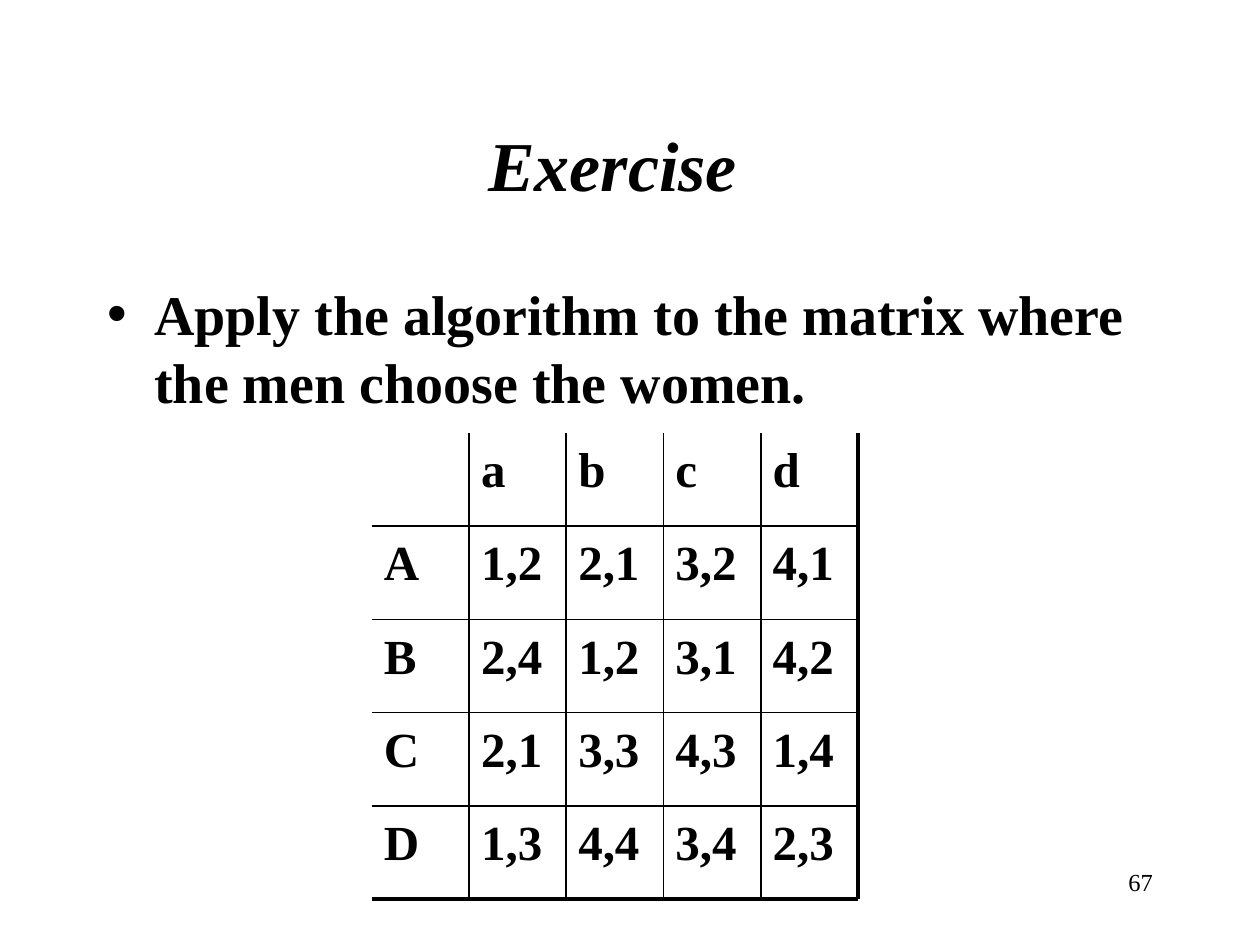
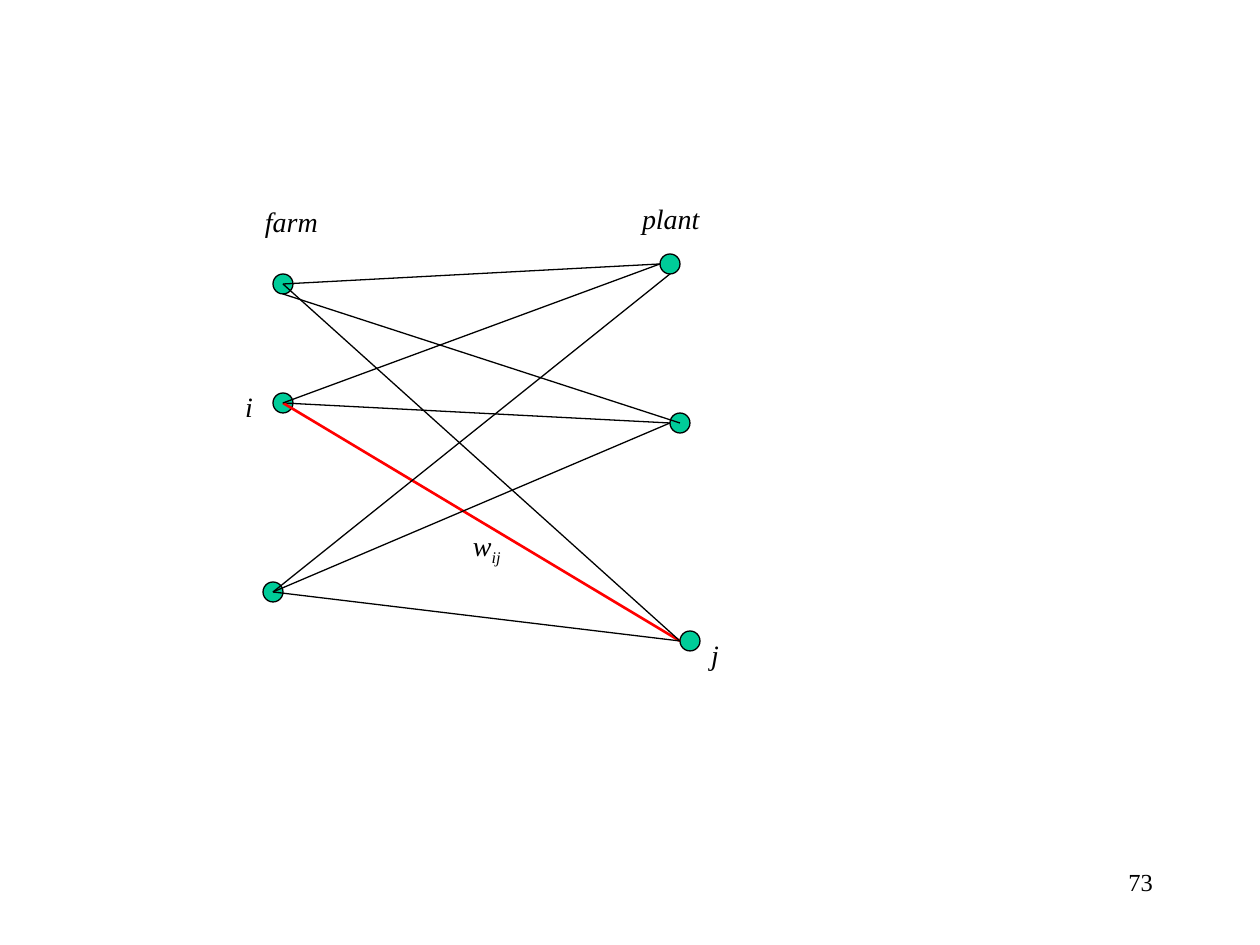
from itertools import product

from lxml.etree import SubElement
from pptx import Presentation
from pptx.dml.color import RGBColor
from pptx.enum.shapes import MSO_CONNECTOR, MSO_SHAPE
from pptx.enum.text import MSO_ANCHOR, MSO_AUTO_SIZE, PP_ALIGN
from pptx.oxml.ns import qn
from pptx.util import Emu, Pt

EMU_PER_PX = 914400 / 126
FONT = "Times New Roman"
COLOURS = {"ink": "000000", "node": "00CC99", "chosen": "FF0000"}
LINE_HEIGHT = 1.21
INSET = (12, 6)

PREFERENCES = [
    ["", "a", "b", "c", "d"],
    ["A", "1,2", "2,1", "3,2", "4,1"],
    ["B", "2,4", "1,2", "3,1", "4,2"],
    ["C", "2,1", "3,3", "4,3", "1,4"],
    ["D", "1,3", "4,4", "3,4", "2,3"],
]

# Node centres, relative to the graph's box
FARMS = [(20, 86), (20, 205), (10, 394)]
PLANTS = [(407, 66), (417, 225), (427, 443)]
RADIUS = 10
CENTRE, LEFT, BOTTOM = (0, 0), (-RADIUS, 0), (0, RADIUS)
# Farm, plant, where the edge leaves the farm, where it meets the plant
EDGES = [
    (0, 0, CENTRE, LEFT),
    (0, 1, BOTTOM, CENTRE),
    (1, 1, CENTRE, LEFT),
    (1, 2, CENTRE, LEFT),
    (2, 0, CENTRE, BOTTOM),
    (2, 1, CENTRE, LEFT),
    (2, 2, CENTRE, LEFT),
    (0, 2, CENTRE, LEFT),
    (1, 0, CENTRE, LEFT),
]
CHOSEN_EDGE = (1, 2)
# Text, subscript, box
GRAPH_LABELS = [
    ("i", "", (-30, 185, 69, 47)),
    ("j", "", (436, 433, 69, 47)),
    ("w", "ij", (198, 329, 69, 52)),
    ("farm", "", (-10, 0, 110, 47)),
    ("plant", "", (367, -3, 110, 47)),
]


def px(*lengths):
    return [Emu(round(length * EMU_PER_PX)) for length in lengths]


def colour(name):
    return RGBColor.from_string(COLOURS[name])


def set_margins(frame):
    """Give a text frame or a table cell the common insets."""
    across, down = px(*INSET)
    frame.margin_left = frame.margin_right = across
    frame.margin_top = frame.margin_bottom = down


def format_text(frame, size, bold=False, italic=False, align=PP_ALIGN.LEFT):
    for paragraph in frame.paragraphs:
        paragraph.alignment = align
        paragraph.space_before = Pt(0)
        paragraph.line_spacing = Pt(size * LINE_HEIGHT)
        for run in paragraph.runs:
            font = run.font
            font.name, font.size = FONT, Pt(size)
            font.bold, font.italic = bold, italic
            font.color.rgb = colour("ink")


def prepare_frame(shape, box):
    shape.left, shape.top, shape.width, shape.height = px(*box)
    frame = shape.text_frame
    frame.word_wrap = True
    frame.auto_size = MSO_AUTO_SIZE.NONE
    set_margins(frame)
    return frame


def add_label(slide, text, box, size, subscript="", **style):
    frame = prepare_frame(slide.shapes.add_textbox(0, 0, 0, 0), box)
    frame.text = text
    if subscript:
        index = frame.paragraphs[0].add_run()
        index.text = subscript
        index.font._element.set("baseline", "-25000")
    format_text(frame, size, **style)


def add_page_number(slide, number):
    add_label(slide, str(number), (903, 861, 262, 63), 14, align=PP_ALIGN.RIGHT)


def add_line(slide, start, end, weight, ink="ink"):
    line = slide.shapes.add_connector(MSO_CONNECTOR.STRAIGHT, *px(*start, *end))
    line.line.color.rgb = colour(ink)
    line.line.width = Pt(weight)
    SubElement(line._element.spPr, qn("a:effectLst"))


def add_matrix(slide, left, top, width, height):
    """Set the preferences in a table ruled on all but its left and top sides."""
    count = len(PREFERENCES)
    table = slide.shapes.add_table(count, count, *px(left, top, width, height)).table
    table.first_row = table.horz_banding = False
    for row, column in product(range(count), repeat=2):
        cell = table.cell(row, column)
        cell.text = PREFERENCES[row][column]
        cell.vertical_anchor = MSO_ANCHOR.TOP
        set_margins(cell)
        format_text(cell.text_frame, 28, bold=True)
        cell.fill.background()

    right, bottom = left + width, top + height
    weights = [1] * (count - 1) + [2.25]
    for position, weight in enumerate(weights, start=1):
        y = top + height * position / count
        add_line(slide, (left, y), (right, y), weight)
    for position, weight in enumerate(weights, start=1):
        x = left + width * position / count
        add_line(slide, (x, top), (x, bottom), weight)


def add_node(slide, x, y):
    box = px(x - RADIUS, y - RADIUS, 2 * RADIUS, 2 * RADIUS)
    node = slide.shapes.add_shape(MSO_SHAPE.OVAL, *box)
    node.shadow.inherit = False
    node.fill.solid()
    node.fill.fore_color.rgb = colour("node")
    node.line.color.rgb = colour("ink")
    node.line.width = Pt(0.75)


def add_graph(slide, left, top):
    """Draw the farm-to-plant graph with its labels."""
    def shift(point, offset=CENTRE):
        return left + point[0] + offset[0], top + point[1] + offset[1]

    for centre in FARMS + PLANTS:
        add_node(slide, *shift(centre))
    for farm, plant, leaving, meeting in EDGES:
        style = (1.5, "chosen") if (farm, plant) == CHOSEN_EDGE else (0.75, "ink")
        add_line(slide, shift(FARMS[farm], leaving), shift(PLANTS[plant], meeting),
                 *style)
    for text, subscript, (x, y, width, height) in GRAPH_LABELS:
        add_label(slide, text, (*shift((x, y)), width, height), 16,
                  subscript=subscript, italic=True)


def add_exercise_slide(deck):
    slide = deck.slides.add_slide(deck.slide_layouts[1])
    title = prepare_frame(slide.shapes.title, (77, 84, 1071, 158))
    title.text = "Exercise"
    title.vertical_anchor = MSO_ANCHOR.MIDDLE
    format_text(title, 40, bold=True, italic=True, align=PP_ALIGN.CENTER)

    task = prepare_frame(slide.placeholders[1], (95, 273, 1071, 567))
    task.text = "Apply the algorithm to the matrix where the men choose the women."
    format_text(task, 32, bold=True)

    add_matrix(slide, 372, 433, width=486, height=466)
    add_page_number(slide, 67)


def add_graph_slide(deck):
    slide = deck.slides.add_slide(deck.slide_layouts[6])
    add_graph(slide, 263, 198)
    add_page_number(slide, 73)


def main():
    deck = Presentation()
    deck.slide_width, deck.slide_height = px(1260, 945)
    add_exercise_slide(deck)
    add_graph_slide(deck)
    deck.save("out.pptx")


if __name__ == "__main__":
    main()
